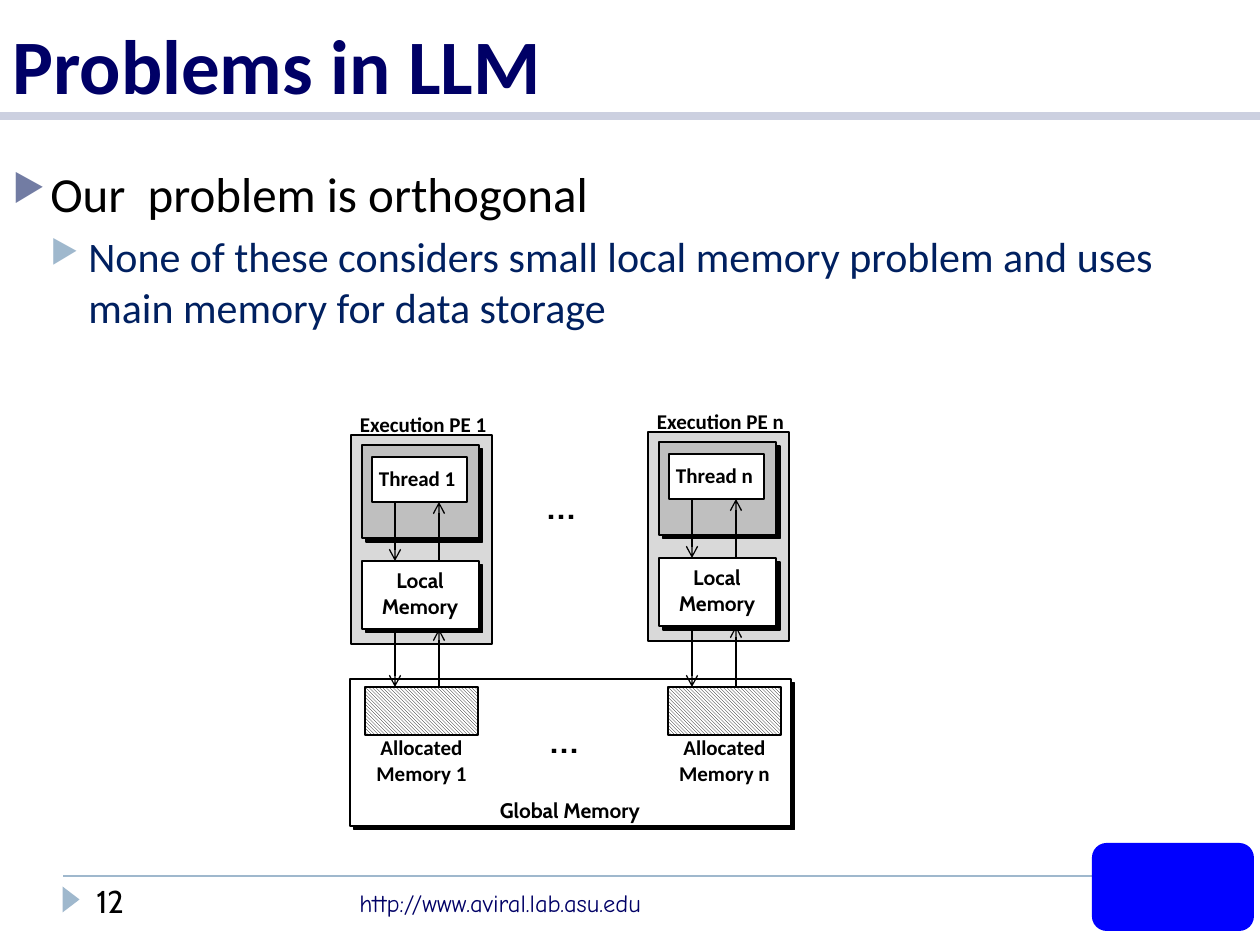
from lxml import etree
from pptx import Presentation
from pptx.dml.color import RGBColor
from pptx.enum.dml import MSO_PATTERN
from pptx.enum.shapes import MSO_CONNECTOR, MSO_SHAPE
from pptx.enum.text import MSO_ANCHOR, PP_ALIGN
from pptx.oxml.ns import qn
from pptx.util import Emu, Pt

RECTANGLE = MSO_SHAPE.RECTANGLE
ROUNDED = MSO_SHAPE.ROUNDED_RECTANGLE
TRIANGLE = MSO_SHAPE.ISOSCELES_TRIANGLE
STRAIGHT = MSO_CONNECTOR.STRAIGHT
HATCH = MSO_PATTERN.LIGHT_DOWNWARD_DIAGONAL
LEFT, CENTER = PP_ALIGN.LEFT, PP_ALIGN.CENTER
TOP, BOTTOM = MSO_ANCHOR.TOP, MSO_ANCHOR.BOTTOM

BLACK = RGBColor(0x00, 0x00, 0x00)
WHITE = RGBColor(0xFF, 0xFF, 0xFF)
LIGHT_GRAY = RGBColor(0xD9, 0xD9, 0xD9)
MID_GRAY = RGBColor(0xBF, 0xBF, 0xBF)
NAVY = RGBColor(0x00, 0x00, 0x66)
DEEP_BLUE = RGBColor(0x00, 0x20, 0x60)
BLUE = RGBColor(0x00, 0x00, 0xFF)
PALE_BLUE = RGBColor(0x9F, 0xB8, 0xCD)
LAVENDER = RGBColor(0xCC, 0xD0, 0xE0)
SLATE = RGBColor(0x72, 0x7C, 0xA3)


def px(length):
    """Turn a length in px into EMU."""
    return Emu(round(length * 914400 / 126))


def add_block(slide, left, top, width, height, fill, preset=RECTANGLE, outline=BLACK):
    """Add a filled shape without a shadow; no outline when it is None."""
    block = slide.shapes.add_shape(preset, px(left), px(top), px(width), px(height))
    block.shadow.inherit = False
    block.fill.solid()
    block.fill.fore_color.rgb = fill
    if outline is None:
        block.line.fill.background()
    else:
        block.line.color.rgb = outline
        block.line.width = Pt(1)
    return block


def add_hard_shadow(block):
    """Give a block a solid black shadow to the lower right."""
    effects = block._element.spPr.find(qn("a:effectLst"))
    shadow = etree.SubElement(effects, qn("a:outerShdw"), dist=str(Pt(3)),
                              dir="2700000", algn="tl", rotWithShape="0")
    etree.SubElement(shadow, qn("a:srgbClr"), val=str(BLACK))


def add_line(slide, start, end, color=BLACK, width=0.75, arrow=False):
    """Add a straight line between two points, with an optional arrowhead."""
    line = slide.shapes.add_connector(STRAIGHT, *map(px, start + end))
    line.line.color.rgb = color
    line.line.width = Pt(width)
    if arrow:
        etree.SubElement(line.line._get_or_add_ln(), qn("a:tailEnd"), type="arrow")
    etree.SubElement(line._element.spPr, qn("a:effectLst"))


def add_run(paragraph, text, size, font, color, bold=False):
    """Add one formatted run to a paragraph."""
    run = paragraph.add_run()
    run.text = text
    run.font.size = Pt(size)
    run.font.name = font
    run.font.color.rgb = color
    run.font.bold = bold


def add_frame(slide, left, top, width, height, anchor=TOP):
    """Add a wrapping text box and return its text frame."""
    frame = slide.shapes.add_textbox(px(left), px(top), px(width), px(height)).text_frame
    frame.word_wrap = True
    frame.vertical_anchor = anchor
    return frame


def add_label(slide, left, top, width, height, text, font="Calibri", align=CENTER):
    """Add a bold diagram label without insets."""
    frame = add_frame(slide, left, top, width, height)
    frame.margin_left = frame.margin_right = frame.margin_top = frame.margin_bottom = 0
    frame.paragraphs[0].alignment = align
    add_run(frame.paragraphs[0], text, 12, font, BLACK, bold=True)


def add_bullet(paragraph, level, color):
    """Give a paragraph a triangle bullet and a hanging indent."""
    paragraph.level = level
    properties = paragraph._p.get_or_add_pPr()
    properties.set("marL", str(px(38 * (level + 1))))
    properties.set("indent", str(px(-38)))
    bullet_color = etree.SubElement(properties, qn("a:buClr"))
    etree.SubElement(bullet_color, qn("a:srgbClr"), val=str(color))
    etree.SubElement(properties, qn("a:buSzPct"), val="76000")
    etree.SubElement(properties, qn("a:buChar"), char="▶")


def add_header(slide, left, top, width, height):
    """Place the title above its rule."""
    bottom = top + height
    add_line(slide, (left, bottom), (left + width, bottom), LAVENDER, 5)
    title = add_frame(slide, left, top, width, height, BOTTOM)
    add_run(title.paragraphs[0], "Problems in LLM", 44, "Calibri", NAVY, bold=True)


def add_body(slide, left, top, width, height):
    """Place the two levels of bullet text."""
    body = add_frame(slide, left, top, width, height)
    claim = body.paragraphs[0]
    add_bullet(claim, 0, SLATE)
    add_run(claim, "Our  problem is orthogonal", 28, "Calibri", BLACK)
    reason = body.add_paragraph()
    add_bullet(reason, 1, PALE_BLUE)
    reason.space_before = Pt(5)
    add_run(reason, "None of these considers small local memory problem and uses "
            "main memory for data storage", 24, "Calibri", DEEP_BLUE)


def add_footer(slide, left, top, width):
    """Place the footer rule, page marker, number, address and emblem."""
    add_line(slide, (left, top), (left + width, top), PALE_BLUE, 1)
    marker = add_block(slide, left - 5, top + 15, 26, 17, PALE_BLUE, TRIANGLE, None)
    marker.rotation = 90
    address = add_frame(slide, left + 284, top + 6, 368, 43)
    add_run(address.paragraphs[0], "http://www.aviral.lab.asu.edu", 14, "Comic Neue", NAVY)
    number = add_frame(slide, left + 21, top, 178, 50)
    add_run(number.paragraphs[0], "12", 18, "Cabin", BLACK)
    add_block(slide, left + width, top - 33, 162, 88, BLUE, ROUNDED, None)


def add_exchange(slide, left, top, height):
    """Place a downward and an upward arrow side by side."""
    bottom = top + height
    add_line(slide, (left, top), (left, bottom), arrow=True)
    add_line(slide, (left + 44, bottom), (left + 44, top), arrow=True)


def add_element(slide, left, top, index):
    """Place one processing element with its thread and local memory."""
    add_block(slide, left, top, 141, 209, LIGHT_GRAY)
    add_hard_shadow(add_block(slide, left + 11, top + 10, 117, 93, MID_GRAY))
    add_block(slide, left + 21, top + 22, 95, 45, WHITE)
    add_label(slide, left + 28, top + 31, 84, 25, f"Thread {index}", align=LEFT)
    add_label(slide, left + 9, top - 23, 134, 25, f"Execution PE {index}", align=LEFT)
    add_hard_shadow(add_block(slide, left + 11, top + 126, 117, 68, WHITE))
    add_label(slide, left + 10, top + 133, 118, 50, "Local Memory", "Cabin")
    add_exchange(slide, left + 44, top + 67, 59)


def add_allocation(slide, left, top, index):
    """Place one hatched memory block above its label."""
    region = add_block(slide, left, top, 113, 48, WHITE)
    region.fill.patterned()
    region.fill.pattern = HATCH
    region.fill.fore_color.rgb = BLACK
    region.fill.back_color.rgb = WHITE
    add_label(slide, left - 1, top + 48, 115, 50, f"Allocated Memory {index}")


def add_diagram(slide, left, top, width):
    """Place the processing elements above the global memory they share."""
    memory_top = top + 247
    add_hard_shadow(add_block(slide, left, memory_top, width, 147, WHITE))
    add_label(slide, left + 131, memory_top + 119, 178, 25, "Global Memory", "Cabin")
    columns = (("1", 1, 3, 15), ("n", 298, 0, 318))
    for index, element, drop, allocation in columns:
        add_element(slide, left + element, top + drop, index)
        add_allocation(slide, left + allocation, memory_top + 8, index)
        local_bottom = top + drop + 194
        add_exchange(slide, left + element + 44, local_bottom,
                     memory_top + 8 - local_bottom)
    for dots_left, dots_top in ((184, 32), (187, 266)):
        dots = add_frame(slide, left + dots_left, top + dots_top, 76, 72)
        add_run(dots.paragraphs[0], "...", 28, "Cabin", BLACK)


def main():
    """Build the slide and save it."""
    deck = Presentation()
    deck.slide_width, deck.slide_height = px(1260), px(945)
    slide = deck.slides.add_slide(deck.slide_layouts[6])
    add_header(slide, 0, 0, 1260, 116)
    add_body(slide, 0, 157, 1207, 273)
    add_footer(slide, 63, 876, 1029)
    add_diagram(slide, 350, 432, 441)
    deck.save("out.pptx")


if __name__ == "__main__":
    main()
